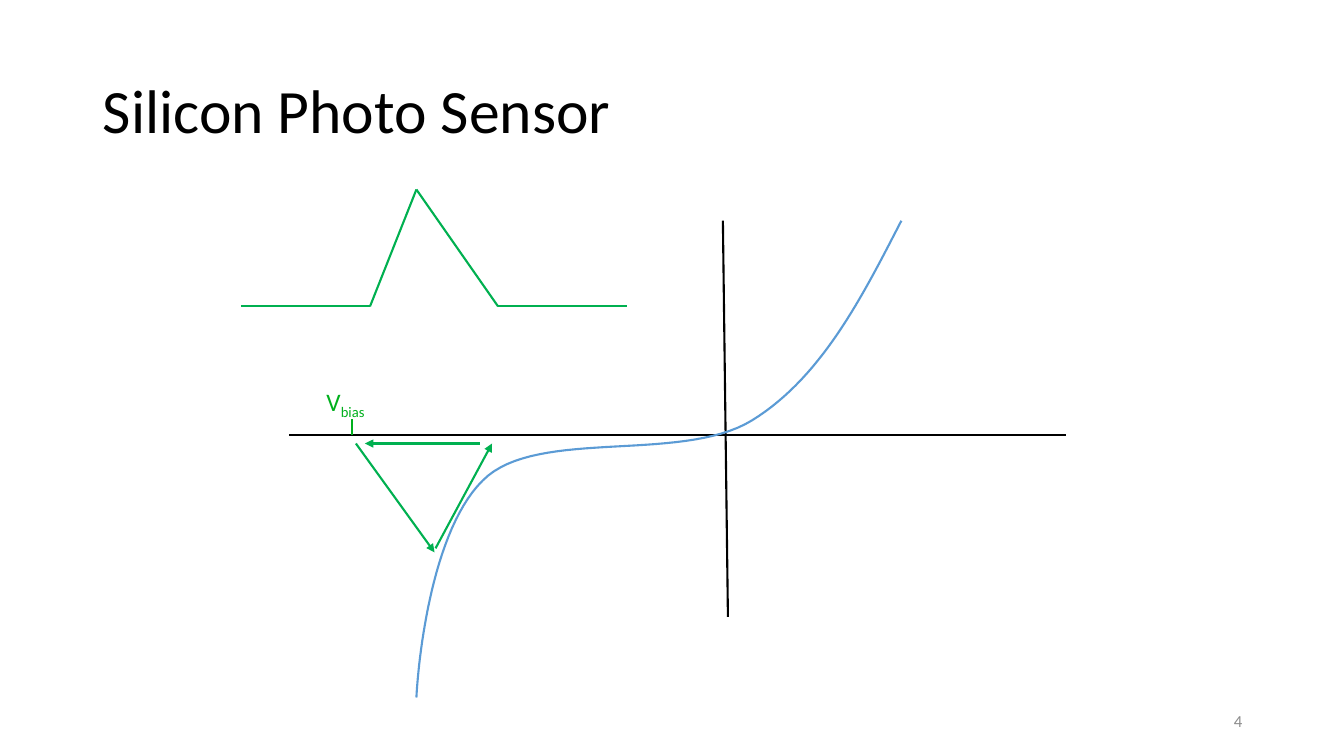
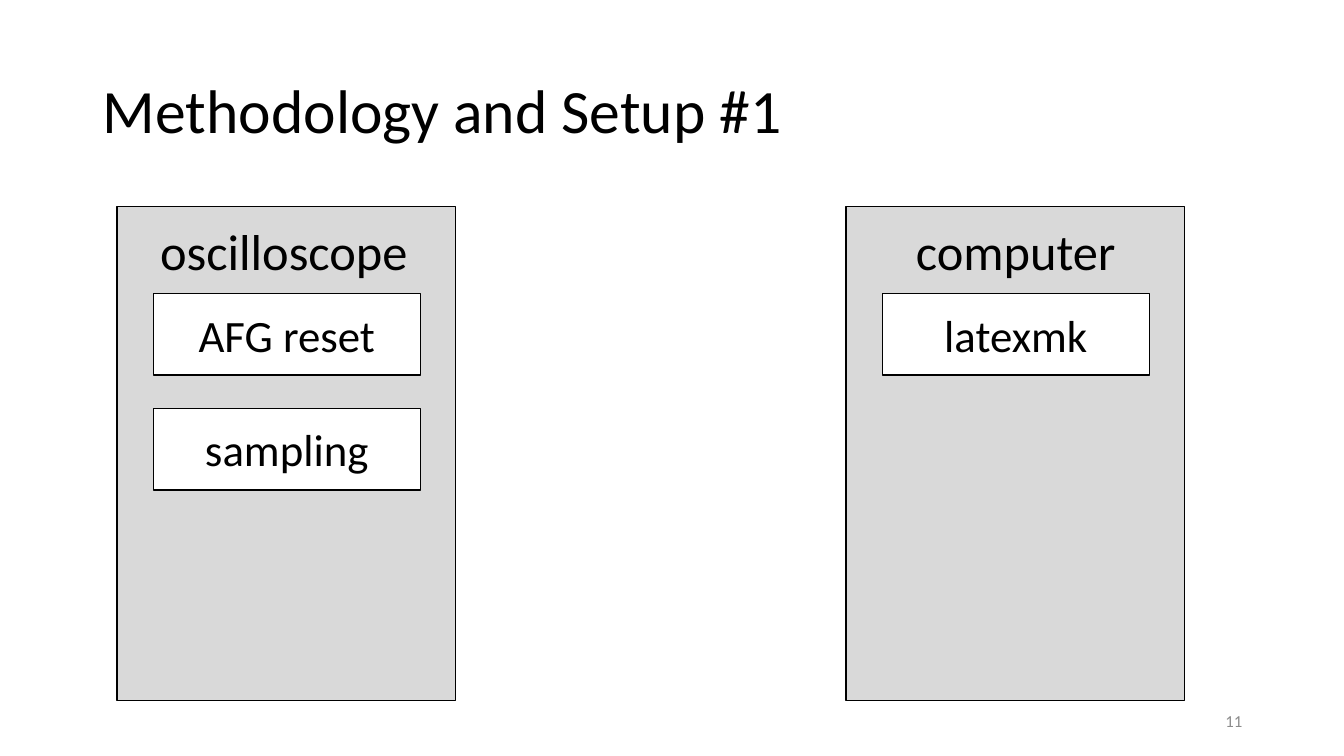
"""Build two slides: a photo sensor characteristic and a measurement setup."""
from pptx import Presentation
from pptx.dml.color import RGBColor
from pptx.enum import shapes, text
from pptx.oxml.ns import qn
from pptx.util import Inches, Pt
from lxml import etree

BLACK = RGBColor(0x00, 0x00, 0x00)
WHITE = RGBColor(0xFF, 0xFF, 0xFF)
PANEL = RGBColor(0xD9, 0xD9, 0xD9)
NUMBER = RGBColor(0x8C, 0x8C, 0x8C)
BLUE = RGBColor(0x5B, 0x9B, 0xD5)
GREEN = RGBColor(0x00, 0xB0, 0x50)
BIAS = RGBColor(0x00, 0xB0, 0x1D)

LEFT, CENTER, RIGHT = text.PP_ALIGN.LEFT, text.PP_ALIGN.CENTER, text.PP_ALIGN.RIGHT
TOP, MIDDLE = text.MSO_ANCHOR.TOP, text.MSO_ANCHOR.MIDDLE
RECT = shapes.MSO_SHAPE.RECTANGLE


def write(sp, words, size, color=BLACK, align=LEFT, anchor=TOP):
    tf = sp.text_frame
    tf.word_wrap = True
    tf.vertical_anchor = anchor
    p = tf.paragraphs[0]
    p.alignment = align
    r = p.add_run()
    r.text = words
    formats = {"name": "Calibri", "size": Pt(size)}
    for name, value in formats.items():
        setattr(r.font, name, value)
    r.font.color.rgb = color
    return p


def add_line(s, x1, y1, x2, y2, color, arrow=False):
    ends = [Inches(v) for v in (x1, y1, x2, y2)]
    line = s.shapes.add_connector(shapes.MSO_CONNECTOR.STRAIGHT, *ends)
    line.line.color.rgb = color
    line.line.width = Pt(1.5)
    if arrow:
        ln = line.line._get_or_add_ln()
        etree.SubElement(ln, qn("a:tailEnd"), type="triangle")
    etree.SubElement(line._element.spPr, qn("a:effectLst"))


prs = Presentation()
prs.slide_width, prs.slide_height = Inches(13.33), Inches(7.5)

for title, number in (("Silicon Photo Sensor", "4"), ("Methodology and Setup #1", "11")):
    s = prs.slides.add_slide(prs.slide_layouts[5])
    sp = s.shapes.title
    sp.left, sp.top, sp.width, sp.height = Inches(0.92), Inches(0.4), Inches(11.5), Inches(1.45)
    write(sp, title, 44, anchor=MIDDLE).line_spacing = 0.9
    sp = s.shapes.add_textbox(Inches(9.42), Inches(6.95), Inches(3), Inches(0.4))
    write(sp, number, 12, NUMBER, RIGHT, MIDDLE)

sensor, setup = prs.slides

add_line(sensor, 2.87, 4.32, 10.57, 4.32, BLACK)
add_line(sensor, 7.17, 2.19, 7.22, 6.12, BLACK)

curve = [(8.94, 2.19), (8.54, 2.97), (8.14, 3.75), (7.46, 4.17), (6.78, 4.59),
         (5.4, 4.26), (4.84, 4.72), (4.29, 5.18), (4.15, 6.53), (4.13, 6.92)]
STEPS = 30
points = []
for start in range(0, len(curve) - 1, 3):
    for step in range(1, STEPS + 1):
        t = step / STEPS
        weights = ((1 - t) ** 3, 3 * t * (1 - t) ** 2, 3 * t ** 2 * (1 - t), t ** 3)
        segment = curve[start:start + 4]
        points.append(tuple(Inches(sum(w * pt[axis] for w, pt in zip(weights, segment)))
                            for axis in (0, 1)))
builder = sensor.shapes.build_freeform(Inches(curve[0][0]), Inches(curve[0][1]))
builder.add_line_segments(points, close=False)
sp = builder.convert_to_shape()
sp.shadow.inherit = False
sp.fill.background()
sp.line.color.rgb = BLUE
sp.line.width = Pt(1.5)

for ends in ((3.53, 4.4, 4.31, 5.48), (4.32, 5.44, 4.88, 4.4), (4.76, 4.4, 3.62, 4.4)):
    add_line(sensor, *ends, GREEN, arrow=True)

pulse = [(2.39, 3.04), (3.67, 3.04), (4.13, 1.88), (4.94, 3.04), (6.22, 3.04)]
for begin, end in zip(pulse, pulse[1:]):
    add_line(sensor, *begin, *end, GREEN)

add_line(sensor, 3.49, 4.32, 3.49, 4.16, BIAS)
sp = sensor.shapes.add_textbox(Inches(3.14), Inches(3.78), Inches(0.77), Inches(0.4))
write(sp, "V", 18, BIAS)
write(sp, "bias", 18, BIAS).runs[1].font._element.set("baseline", "-25000")

devices = ((1.16, 1.24, "oscilloscope", ("AFG reset", "sampling")),
           (8.39, 8.5, "computer", ("latexmk",)))
for left, label_left, device, tasks in devices:
    boxes = [(left, 2.05, 3.36, 4.9, PANEL, "")]
    boxes += [(left + 0.36, 2.91 + 1.14 * i, 2.65, 0.81, WHITE, task)
              for i, task in enumerate(tasks)]
    for x, y, w, h, fill, words in boxes:
        sp = setup.shapes.add_shape(RECT, Inches(x), Inches(y), Inches(w), Inches(h))
        sp.shadow.inherit = False
        sp.fill.solid()
        sp.fill.fore_color.rgb = fill
        sp.line.color.rgb = BLACK
        sp.line.width = Pt(1)
        if words:
            write(sp, words, 32, align=CENTER, anchor=MIDDLE)
    sp = setup.shapes.add_textbox(Inches(label_left), Inches(2.13), Inches(3.15), Inches(0.71))
    write(sp, device, 36, align=CENTER)

prs.save("out.pptx")
